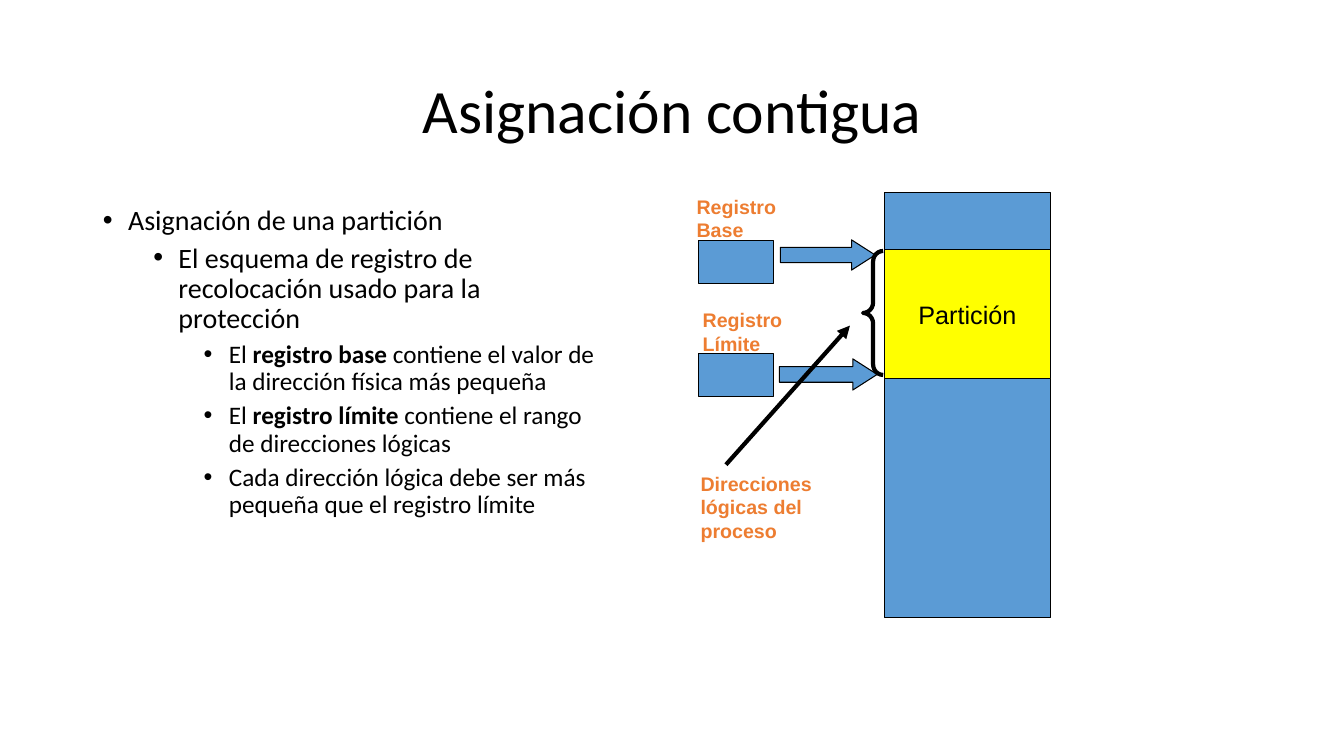
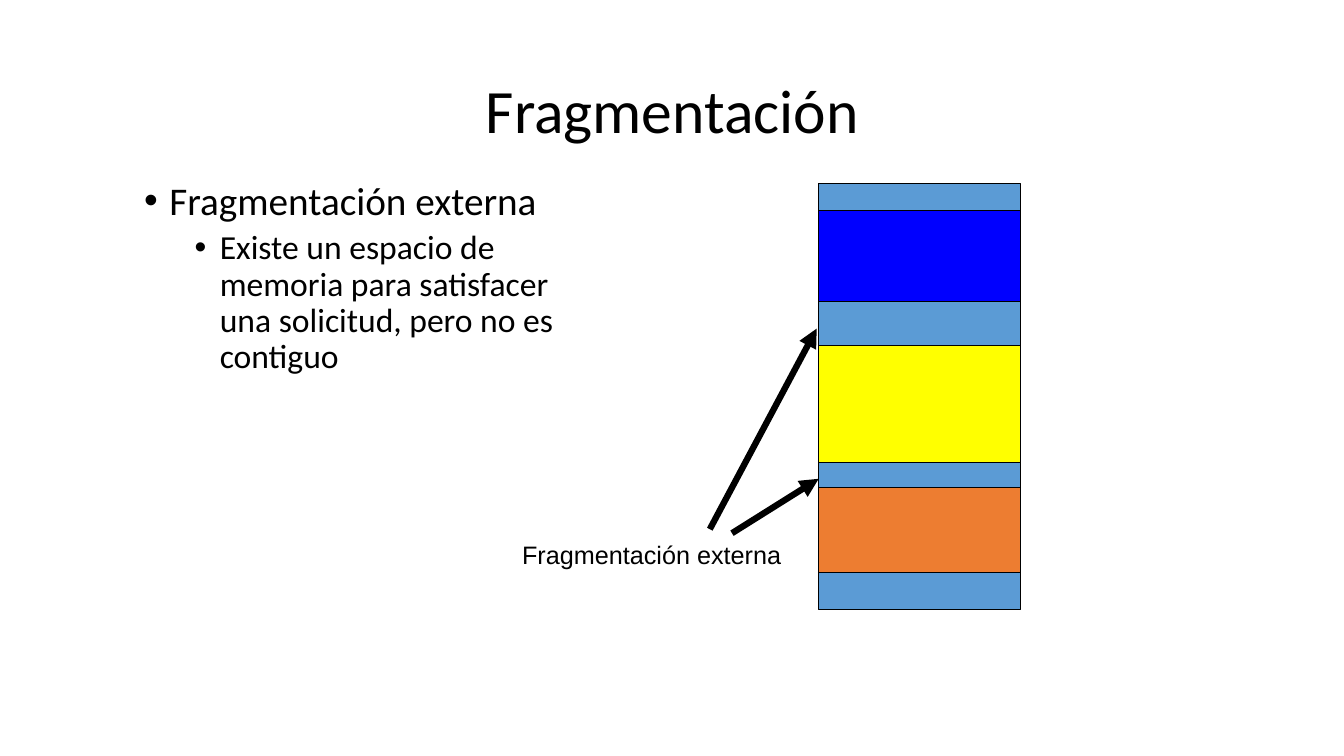
from dataclasses import dataclass

import lxml.etree
import pptx
import pptx.dml.color
import pptx.enum.shapes
import pptx.enum.text
import pptx.oxml.ns
import pptx.util

Inches = pptx.util.Inches
Pt = pptx.util.Pt
qn = pptx.oxml.ns.qn
ShapeKind = pptx.enum.shapes.MSO_SHAPE
Anchor = pptx.enum.text.MSO_ANCHOR
Align = pptx.enum.text.PP_ALIGN
AutoSize = pptx.enum.text.MSO_AUTO_SIZE


@dataclass(frozen=True)
class Theme:
    black: str = "000000"
    memory: str = "5B9BD5"
    yellow: str = "FFFF00"
    blue: str = "0000FF"
    orange: str = "ED7D31"
    text_font: str = "Calibri"
    diagram_font: str = "Arial"
    title_size: float = 44
    label_size: float = 18
    note_size: float = 14
    outline: float = 0.75
    line_spacing: float = 0.9


THEME = Theme()
TITLE_BOX = (0.92, 0.4, 11.5, 1.45)

ALLOCATION = {
    "title": "Asignación contigua",
    "body_box": (0.92, 2, 5.19, 4.76),
    "sizes": (20, 20, 18),
    "bullets": [
        (0, "Asignación de una partición"),
        (1, "El esquema de registro de recolocación usado para la protección"),
        (2, "El **registro base** contiene el valor de la dirección física más pequeña"),
        (2, "El **registro límite** contiene el rango de direcciones lógicas"),
        (2, "Cada dirección lógica debe ser más pequeña que el registro límite"),
    ],
    "memory": (8.77, 1.91, 1.65, 4.22),
    "blocks": [(2.48, 1.28, THEME.yellow, "Partición")],
    "registers": [(6.93, 2.39, 0.74, 0.42), (6.93, 3.51, 0.74, 0.42)],
    "notes": [
        ("Registro Base", (6.81, 1.88, 1.02, 0.57)),
        ("Registro Límite", (6.87, 3.01, 1.08, 0.57)),
        ("Direcciones lógicas del proceso", (6.85, 4.63, 1.6, 0.81)),
    ],
    "block_arrows": [(7.74, 2.38, 0.94, 0.3), (7.73, 3.56, 0.97, 0.31)],
    "brace": (8.56, 2.49, 0.2, 1.23),
    "pointers": [((7.2, 4.61), (8.43, 3.23))],
    "pointer_width": 3,
}

FRAGMENTATION = {
    "title": "Fragmentación",
    "body_box": (1.33, 1.75, 4.35, 4.95),
    "sizes": (28, 24),
    "bullets": [
        (0, "Fragmentación externa"),
        (1, "Existe un espacio de memoria para satisfacer una solicitud, pero no es contiguo"),
    ],
    "memory": (8.12, 1.82, 2, 4.23),
    "blocks": [
        (2.09, 0.9, THEME.blue, ""),
        (3.43, 1.16, THEME.yellow, ""),
        (4.84, 0.84, THEME.orange, ""),
    ],
    "pointers": [((7.04, 5.25), (8.1, 3.26)), ((7.26, 5.29), (8.12, 4.75))],
    "pointer_width": 4.5,
    "caption": ("Fragmentación externa", (5.08, 5.3, 2.77, 0.4)),
}


def color(value):
    return pptx.dml.color.RGBColor.from_string(value)


def inches(box):
    return [Inches(value) for value in box]


def place(shape, box):
    shape.left, shape.top, shape.width, shape.height = inches(box)


def format_runs(paragraph, size, font, text_color=THEME.black, bold=False):
    for run in paragraph.runs:
        run.font.size = Pt(size)
        run.font.name = font
        run.font.color.rgb = color(text_color)
        run.font.bold = bold


def add_bullet(paragraph, level):
    paragraph.level = level
    properties = paragraph._p.get_or_add_pPr()
    properties.set("marL", str(Inches(0.25 + 0.5 * level)))
    properties.set("indent", str(Inches(-0.25)))
    lxml.etree.SubElement(properties, qn("a:buFont")).set("typeface", "Arial")
    lxml.etree.SubElement(properties, qn("a:buChar")).set("char", "•")


def fill_title(slide, text):
    title = slide.shapes.title
    place(title, TITLE_BOX)
    frame = title.text_frame
    frame.text = text
    frame.auto_size = AutoSize.NONE
    frame.vertical_anchor = Anchor.MIDDLE
    paragraph = frame.paragraphs[0]
    paragraph.alignment = Align.CENTER
    paragraph.line_spacing = THEME.line_spacing
    format_runs(paragraph, THEME.title_size, THEME.text_font)


def fill_body(slide, box, bullets, sizes):
    body = slide.placeholders[1]
    place(body, box)
    frame = body.text_frame
    frame.auto_size = AutoSize.NONE
    for index, (level, text) in enumerate(bullets):
        paragraph = frame.paragraphs[0] if index == 0 else frame.add_paragraph()
        add_bullet(paragraph, level)
        paragraph.line_spacing = THEME.line_spacing
        paragraph.space_before = Pt(5 if index else 0)
        parts = text.split("**")
        for part in parts:
            paragraph.add_run().text = part
        format_runs(paragraph, sizes[level], THEME.text_font)
        for run in paragraph.runs[1::2]:
            run.font.bold = True


def add_figure(slide, kind, box, fill, line_width=THEME.outline, adjustments=()):
    shape = slide.shapes.add_shape(kind, *inches(box))
    shape.shadow.inherit = False
    if fill:
        shape.fill.solid()
        shape.fill.fore_color.rgb = color(fill)
    else:
        shape.fill.background()
    shape.line.color.rgb = color(THEME.black)
    shape.line.width = Pt(line_width)
    for index, value in enumerate(adjustments):
        shape.adjustments[index] = value
    return shape


def add_memory(slide, box, blocks):
    left, _, width, _ = box
    add_figure(slide, ShapeKind.RECTANGLE, box, THEME.memory)
    for top, height, fill, text in blocks:
        block = add_figure(slide, ShapeKind.RECTANGLE, (left, top, width, height), fill)
        if text:
            frame = block.text_frame
            frame.text = text
            frame.word_wrap = False
            frame.vertical_anchor = Anchor.MIDDLE
            frame.paragraphs[0].alignment = Align.CENTER
            format_runs(frame.paragraphs[0], THEME.label_size, THEME.diagram_font)


def add_label(slide, text, box, size, text_color, bold, wrap):
    frame = slide.shapes.add_textbox(*inches(box)).text_frame
    frame.text = text
    frame.word_wrap = wrap
    frame.auto_size = AutoSize.SHAPE_TO_FIT_TEXT
    format_runs(frame.paragraphs[0], size, THEME.diagram_font, text_color, bold)


def add_pointer(slide, start, end, width):
    connector = slide.shapes.add_connector(
        pptx.enum.shapes.MSO_CONNECTOR.STRAIGHT, *inches(start + end))
    connector.line.color.rgb = color(THEME.black)
    connector.line.width = Pt(width)
    line = connector.line._get_or_add_ln()
    lxml.etree.SubElement(line, qn("a:tailEnd")).set("type", "triangle")
    lxml.etree.SubElement(connector._element.spPr, qn("a:effectLst"))


def add_slide(presentation, content):
    slide = presentation.slides.add_slide(presentation.slide_layouts[1])
    fill_title(slide, content["title"])
    fill_body(slide, content["body_box"], content["bullets"], content["sizes"])
    add_memory(slide, content["memory"], content["blocks"])
    for start, end in content["pointers"]:
        add_pointer(slide, start, end, content["pointer_width"])
    return slide


def add_registers(slide, content):
    for box in content["registers"]:
        add_figure(slide, ShapeKind.RECTANGLE, box, THEME.memory)
    for text, box in content["notes"]:
        add_label(slide, text, box, THEME.note_size, THEME.orange, bold=True, wrap=True)
    for box in content["block_arrows"]:
        add_figure(slide, ShapeKind.RIGHT_ARROW, box, THEME.memory, adjustments=(0.5, 0.78))
    add_figure(slide, ShapeKind.LEFT_BRACE, content["brace"], None, 3, (0.52, 0.5))


def main():
    presentation = pptx.Presentation()
    presentation.slide_width = Inches(13.33)
    presentation.slide_height = Inches(7.5)
    allocation_slide = add_slide(presentation, ALLOCATION)
    add_registers(allocation_slide, ALLOCATION)
    # pointers stay above the registers
    pointer = next(shape for shape in allocation_slide.shapes
                   if shape.shape_type == pptx.enum.shapes.MSO_SHAPE_TYPE.LINE)
    allocation_slide.shapes._spTree.append(pointer._element)
    fragmentation_slide = add_slide(presentation, FRAGMENTATION)
    text, box = FRAGMENTATION["caption"]
    add_label(fragmentation_slide, text, box, THEME.label_size, THEME.black,
              bold=False, wrap=False)
    presentation.save("out.pptx")


if __name__ == "__main__":
    main()
